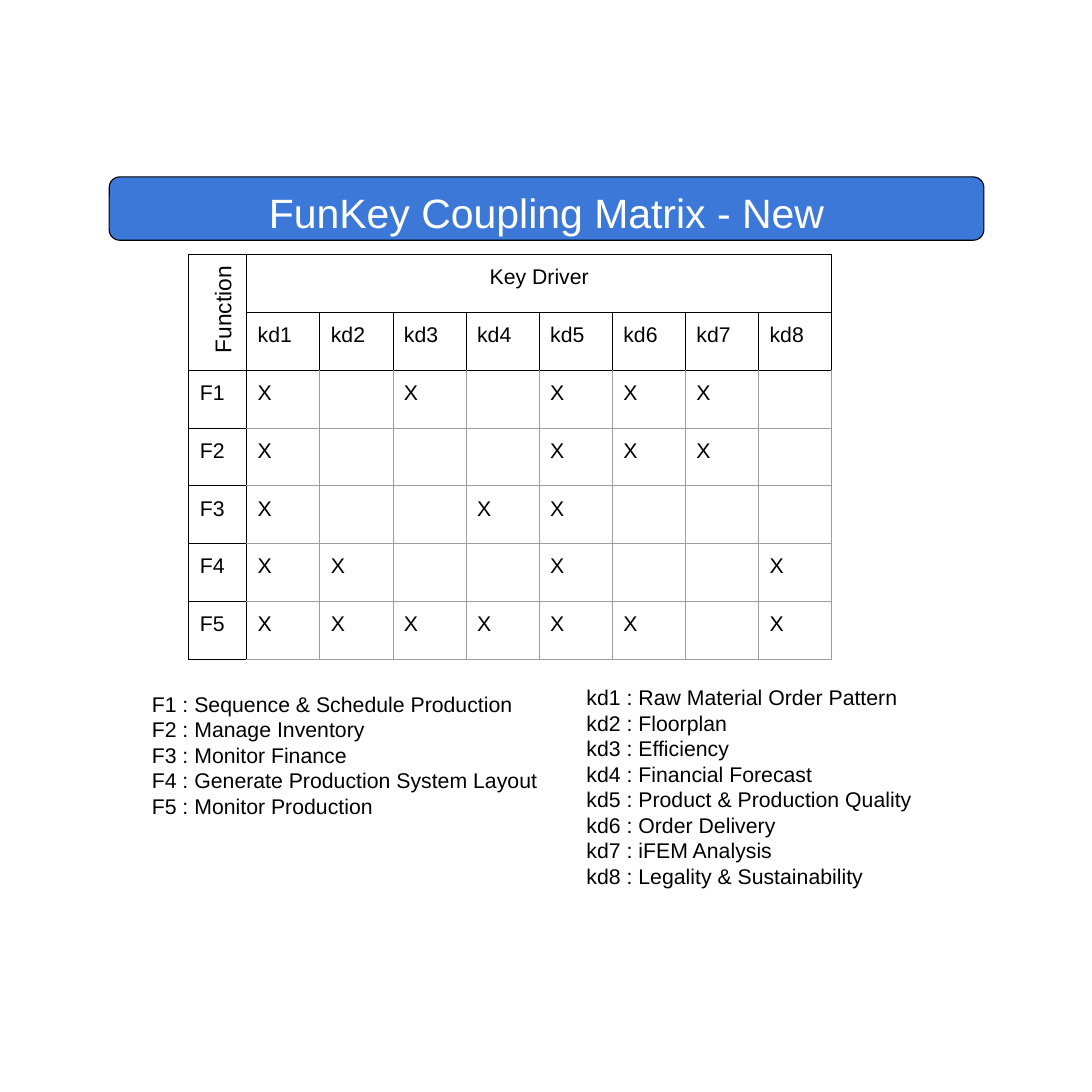
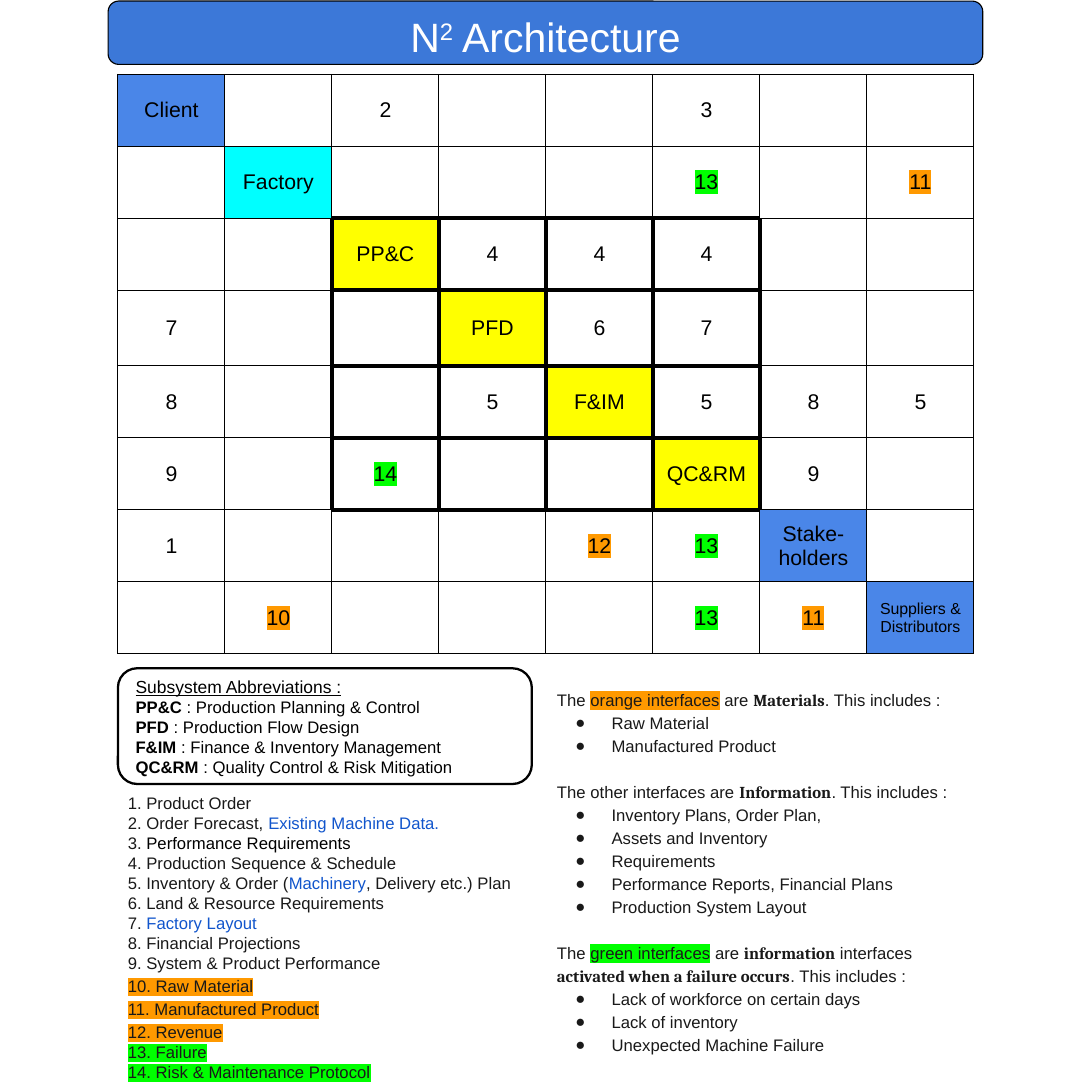
from dataclasses import dataclass

from lxml import etree
from pptx import Presentation
from pptx.dml.color import RGBColor
from pptx.enum.shapes import MSO_SHAPE
from pptx.enum.text import MSO_ANCHOR, MSO_AUTO_SIZE, PP_ALIGN
from pptx.oxml.ns import qn
from pptx.util import Inches, Pt

ROUNDED = MSO_SHAPE.ROUNDED_RECTANGLE
TOP, MIDDLE = MSO_ANCHOR.TOP, MSO_ANCHOR.MIDDLE
LEFT, CENTER = PP_ALIGN.LEFT, PP_ALIGN.CENTER
FIXED = MSO_AUTO_SIZE.NONE

TWO_CONTENT = 3
BLACK, WHITE, GREY, INK = "000000", "FFFFFF", "9E9E9E", "191919"
BAND, SYSTEM, FACTORY, SUBSYSTEM = "3C78D8", "4A86E8", "00FFFF", "FFFF00"
ORANGE, GREEN, LINK = "FF9900", "00FF00", "1155CC"

STYLES = {
    "link": {"color": LINK},
    "black": {"color": BLACK},
    "orange": {"highlight": ORANGE},
    "green": {"highlight": GREEN},
    "strong": {"bold": True},
    "term": {"bold": True, "name": "Cambria"},
    "under": {"underline": True, "size": 11.5},
    "super": {"baseline": 30000},
}
NUMBER_STYLES = {"10": "orange", "11": "orange", "12": "orange", "13": "green", "14": "green"}
DIAGONAL_FILLS = {
    "Client": SYSTEM, "Factory": FACTORY, "PP&C": SUBSYSTEM, "PFD": SUBSYSTEM,
    "F&IM": SUBSYSTEM, "QC&RM": SUBSYSTEM, "Stake-\nholders": SYSTEM,
    "Suppliers &\nDistributors": SYSTEM,
}

FUNCTIONS = [
    "Sequence & Schedule Production", "Manage Inventory", "Monitor Finance",
    "Generate Production System Layout", "Monitor Production",
]
KEY_DRIVERS = [
    "Raw Material Order Pattern", "Floorplan", "Efficiency", "Financial Forecast",
    "Product & Production Quality", "Order Delivery", "iFEM Analysis",
    "Legality & Sustainability",
]
COUPLINGS = ["X.X.XXX.", "X...XXX.", "X..XX...", "XX..X..X", "XXXXXX.X"]

ARCHITECTURE = [
    ["Client", "", "2", "", "", "3", "", ""],
    ["", "Factory", "", "", "", "13", "", "11"],
    ["", "", "PP&C", "4", "4", "4", "", ""],
    ["7", "", "", "PFD", "6", "7", "", ""],
    ["8", "", "", "5", "F&IM", "5", "8", "5"],
    ["9", "", "14", "", "", "QC&RM", "9", ""],
    ["1", "", "", "", "12", "13", "Stake-\nholders", ""],
    ["", "10", "", "", "", "13", "11", "Suppliers &\nDistributors"],
]
ABBREVIATIONS = [
    ("PP&C", "Production Planning & Control"),
    ("PFD", "Production Flow Design"),
    ("F&IM", "Finance & Inventory Management"),
    ("QC&RM", "Quality Control & Risk Mitigation"),
]
INTERFACES = [
    ["Product Order"],
    ["Order Forecast, ", ("Existing Machine Data.", "link")],
    [("Performance Requirements", "black")],
    ["Production Sequence & Schedule"],
    ["Inventory & Order (", ("Machinery", "link"), ", Delivery etc.) Plan"],
    ["Land & Resource Requirements"],
    [("Factory Layout", "link")],
    ["Financial Projections"],
    ["System & Product Performance"],
    ["Raw Material"],
    ["Manufactured Product"],
    ["Revenue"],
    ["Failure"],
    ["Risk & Maintenance Protocol"],
]
INTERFACE_GROUPS = [
    (["The ", ("orange interfaces", "orange"), " are ", ("Materials", "term"),
      ". This includes :"],
     ["Raw Material", "Manufactured Product"]),
    (["The other interfaces are ", ("Information", "term"), ". This includes :"],
     ["Inventory Plans, Order Plan,", "Assets and Inventory", "Requirements",
      "Performance Reports, Financial Plans", "Production System Layout"]),
    (["The ", ("green interfaces", "green"), " are ", ("information", "term"),
      " interfaces ", ("activated when a failure occurs", "term"), ". This includes :"],
     ["Lack of workforce on certain days", "Lack of inventory",
      "Unexpected Machine Failure"]),
]


@dataclass
class Line:
    spans: list
    spacing: float = 1.0
    bullet: bool = False
    gap: float = 0


def rgb(color):
    return RGBColor.from_string(color)


def place(shape, left, top, width, height):
    shape.left, shape.top = Inches(left), Inches(top)
    shape.width, shape.height = Inches(width), Inches(height)


def set_bullet(paragraph, bullet):
    properties = paragraph._p.get_or_add_pPr()
    properties.set("marL", str(Inches(0.5) if bullet else 0))
    properties.set("indent", str(Inches(-0.33) if bullet else 0))
    if bullet:
        color = etree.SubElement(properties, qn("a:buClr"))
        etree.SubElement(color, qn("a:srgbClr"), val=INK)
        etree.SubElement(properties, qn("a:buChar"), char="●")
    else:
        etree.SubElement(properties, qn("a:buNone"))


def format_run(run, size, color, style):
    font = run.font
    font.size = Pt(style.get("size", size))
    font.name = style.get("name", "Arial")
    font.bold = style.get("bold", False)
    font.underline = style.get("underline", False)
    font.color.rgb = rgb(style.get("color", color))
    properties = run._r.get_or_add_rPr()
    if "baseline" in style:
        properties.set("baseline", str(style["baseline"]))
    if "highlight" in style:
        highlight = etree.Element(qn("a:highlight"))
        etree.SubElement(highlight, qn("a:srgbClr"), val=style["highlight"])
        properties.find(qn("a:solidFill")).addnext(highlight)


def write(frame, lines, size, color=BLACK, align=LEFT):
    for index, line in enumerate(lines):
        paragraph = frame.add_paragraph() if index else frame.paragraphs[0]
        set_bullet(paragraph, line.bullet)
        paragraph.alignment = align
        paragraph.line_spacing = line.spacing
        paragraph.space_before = Pt(line.gap)
        paragraph.font.size = Pt(size)
        for span in line.spans:
            text, style = span if isinstance(span, tuple) else (span, None)
            run = paragraph.add_run()
            run.text = text
            format_run(run, size, color, STYLES.get(style, {}))


def set_frame(frame, inset, anchor):
    frame.word_wrap = True
    frame.auto_size = FIXED
    frame.vertical_anchor = anchor
    frame.margin_left = frame.margin_right = Inches(inset)
    frame.margin_top = frame.margin_bottom = Inches(inset)


def add_rounded(slide, left, top, width, height, line_width):
    shape = slide.shapes.add_shape(
        ROUNDED, Inches(left), Inches(top), Inches(width), Inches(height))
    shape.shadow.inherit = False
    shape.fill.background()
    shape.line.color.rgb = rgb(BLACK)
    shape.line.width = Pt(line_width)
    return shape


def add_title(slide, left, top, spans):
    box = (left, top, 8.01, 0.58)
    band = add_rounded(slide, *box, 0.75)
    band.fill.solid()
    band.fill.fore_color.rgb = rgb(BAND)
    title = slide.shapes.title
    title._element.addprevious(band._element)
    place(title, *box)
    set_frame(title.text_frame, 0.07, MIDDLE)
    write(title.text_frame, [Line(spans, 1.15)], 27, WHITE, CENTER)


def fill_body(slide, index, box, lines, size, color=BLACK):
    body = slide.placeholders[index]
    place(body, *box)
    set_frame(body.text_frame, 0.1, TOP)
    write(body.text_frame, lines, size, color)


def set_borders(cell, sides):
    properties = cell._tc.get_or_add_tcPr()
    for index, (side, (color, width)) in enumerate(sides.items()):
        line = etree.Element(qn("a:ln" + side), w=str(Pt(width)))
        fill = etree.SubElement(line, qn("a:solidFill"))
        etree.SubElement(fill, qn("a:srgbClr"), val=color)
        properties.insert(index, line)


def add_matrix(slide, left, top, widths, heights, rows, is_strong, strong, plain, anchor, align):
    table = slide.shapes.add_table(
        len(rows), len(widths), Inches(left), Inches(top),
        Inches(sum(widths)), Inches(sum(heights))).table
    table.first_row = table.horz_banding = False
    for column, width in zip(table.columns, widths):
        column.width = Inches(width)
    for row, height in zip(table.rows, heights):
        row.height = Inches(height)
    for r, texts in enumerate(rows):
        for c, text in enumerate(texts):
            cell = table.cell(r, c)
            cell.vertical_anchor = anchor
            cell.margin_left = cell.margin_right = Inches(0.1)
            cell.margin_top = cell.margin_bottom = Inches(0.1)
            if text in DIAGONAL_FILLS:
                cell.fill.solid()
                cell.fill.fore_color.rgb = rgb(DIAGONAL_FILLS[text])
            else:
                cell.fill.background()
            neighbours = {"L": (r, c - 1), "R": (r, c + 1), "T": (r - 1, c), "B": (r + 1, c)}
            set_borders(cell, {
                side: strong if is_strong(r, c) or is_strong(*neighbour) else plain
                for side, neighbour in neighbours.items()})
            lines = [Line([(part, NUMBER_STYLES.get(part))] if part else [])
                     for part in text.split("\n")]
            size = 10.5 if text.startswith("Suppliers") else 14
            write(cell.text_frame, lines, size, BLACK, align)
    return table


def coded_lines(prefix, names):
    return [Line([f"{prefix}{number} : {name}"]) for number, name in enumerate(names, 1)]


def interface_lines():
    lines = []
    for number, spans in enumerate(INTERFACES, 1):
        style = NUMBER_STYLES.get(str(number))
        if style:
            spans = [(f"{number}. {spans[0]}", style)]
        else:
            spans = [f"{number}. ", *spans]
        lines.append(Line(spans, 1.15 if style == "orange" else 1.0))
    return lines


def group_lines():
    lines = []
    for heading, items in INTERFACE_GROUPS:
        lines.append(Line(heading, 1.15, gap=15 if lines else 0))
        lines += [Line([item], 1.15, bullet=True) for item in items]
    return lines


def build_coupling_slide(slide):
    add_title(slide, 1, 1.62, ["FunKey Coupling Matrix - New"])
    drivers = len(KEY_DRIVERS)
    rows = [["", "Key Driver"] + [""] * (drivers - 1),
            [""] + [f"kd{number}" for number in range(1, drivers + 1)]]
    for number, marks in enumerate(COUPLINGS, 1):
        rows.append([f"F{number}", *marks.replace(".", " ").replace(" ", "-")])
    rows = [["" if text == "-" else text for text in row] for row in rows]
    table = add_matrix(
        slide, 1.73, 2.33, [0.53] + [0.67] * drivers, [0.53] * len(rows), rows,
        lambda r, c: r < 2 or c == 0, (BLACK, 0.75), (GREY, 0.75), TOP, LEFT)
    table.cell(0, 0).merge(table.cell(1, 0))
    table.cell(0, 1).merge(table.cell(0, drivers))
    table.cell(0, 1).text_frame.paragraphs[0].alignment = CENTER

    label = slide.shapes.add_textbox(Inches(1.52), Inches(2.61), Inches(1.03), Inches(0.45))
    label.rotation = 270
    set_frame(label.text_frame, 0.1, TOP)
    write(label.text_frame, [Line(["Function"])], 15, BLACK, CENTER)

    fill_body(slide, 1, (1.29, 6.23, 3.84, 1.38), coded_lines("F", FUNCTIONS), 14)
    fill_body(slide, 2, (5.27, 6.17, 3.84, 2.09), coded_lines("kd", KEY_DRIVERS), 14)


def build_architecture_slide(slide):
    add_title(slide, 0.99, 0.01, ["N", ("2", "super"), " Architecture"])
    heights = [0.66] * 3 + [0.69] + [0.66] * 4
    add_matrix(
        slide, 1.08, 0.68, [0.98] * 8, heights, ARCHITECTURE,
        lambda r, c: 2 <= r <= 5 and 2 <= c <= 5, (BLACK, 3), (BLACK, 0.75), MIDDLE, CENTER)
    fill_body(slide, 1, (1.07, 7.16, 3.92, 2.88), interface_lines(), 11, INK)
    fill_body(slide, 2, (5, 6.19, 3.92, 3.58), group_lines(), 11, INK)

    legend = add_rounded(slide, 1.08, 6.12, 3.79, 1.06, 1.5)
    set_frame(legend.text_frame, 0, MIDDLE)
    legend.text_frame.margin_left = Inches(0.11)
    lines = [Line([("Subsystem Abbreviations :", "under")])]
    lines += [Line([(code, "strong"), f" : {meaning}"]) for code, meaning in ABBREVIATIONS]
    write(legend.text_frame, lines, 11)


def main():
    deck = Presentation()
    deck.slide_width = deck.slide_height = Inches(10)
    for build in (build_coupling_slide, build_architecture_slide):
        build(deck.slides.add_slide(deck.slide_layouts[TWO_CONTENT]))
    deck.save("out.pptx")


if __name__ == "__main__":
    main()
